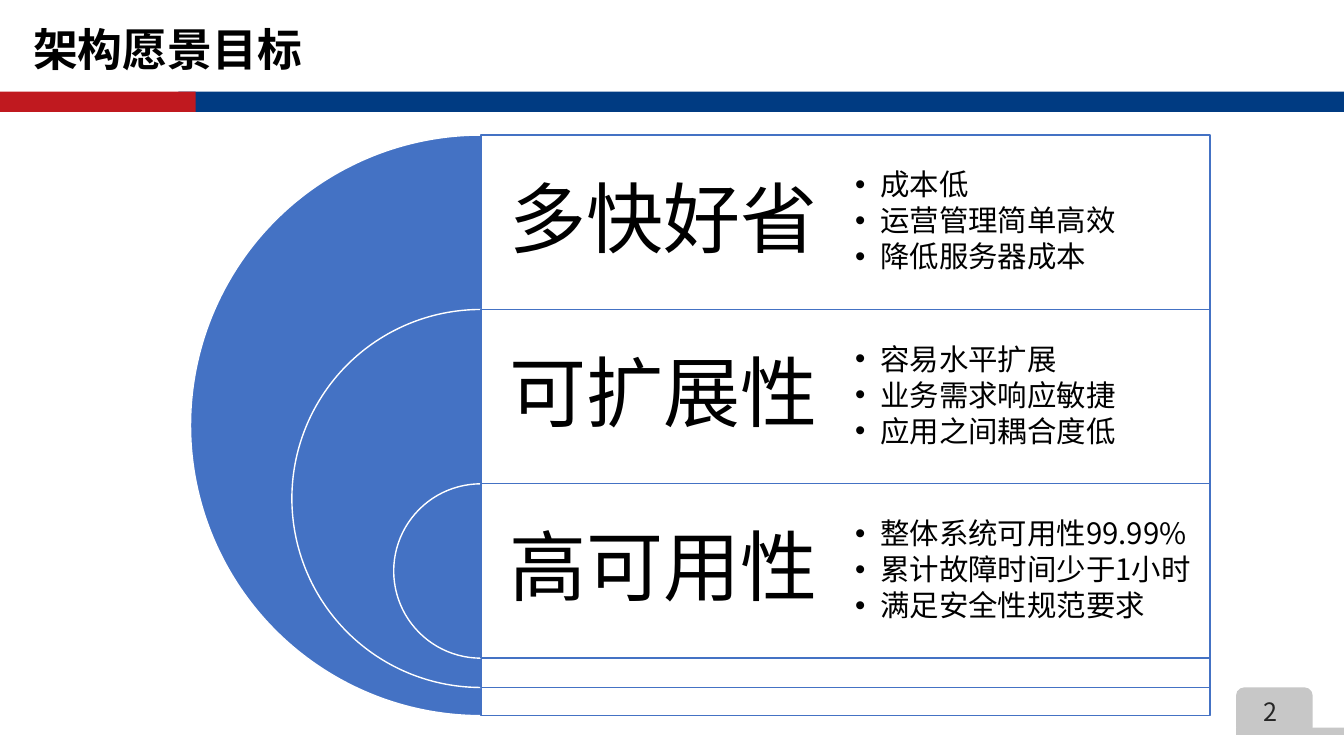
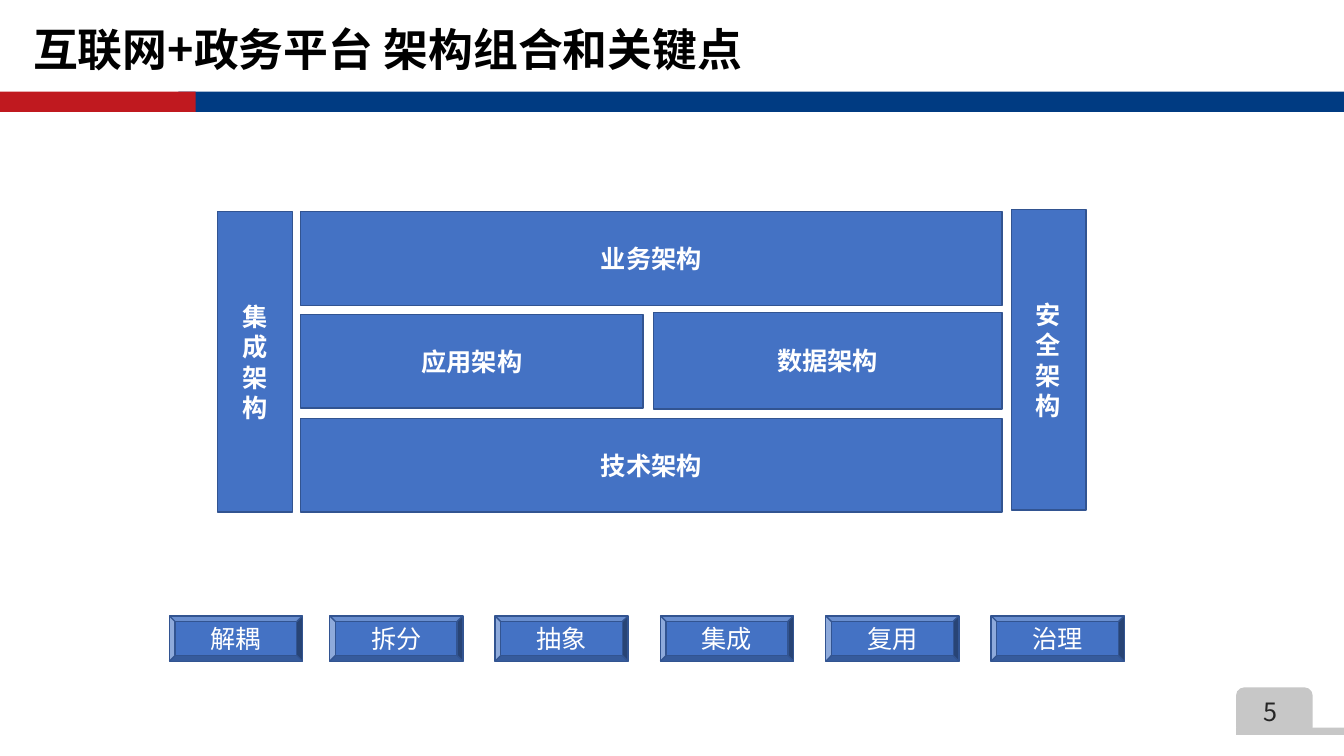
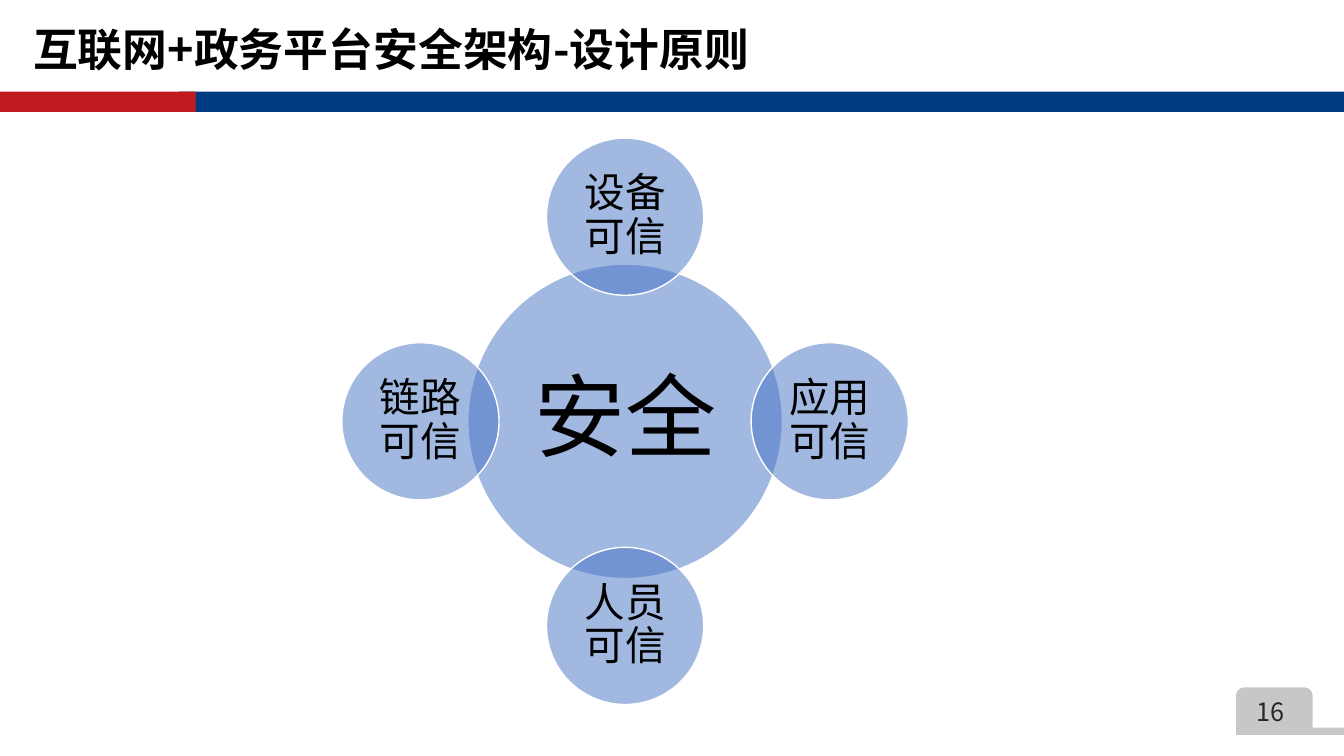
from pptx import Presentation as Deck
from pptx.dml.color import RGBColor as Rgb
from pptx.enum.shapes import MSO_SHAPE as Kind
from pptx.enum.text import MSO_ANCHOR as Anchor, PP_ALIGN as Align
from pptx.oxml.ns import qn
from pptx.util import Inches, Pt
from lxml.etree import SubElement as Sub

FONT = "Noto Sans CJK SC"
HUES = {
    "navy": "003B82",
    "red": "C0191F",
    "gray": "C7C7C7",
    "blue": "4472C4",
    "edge": "325491",
    "white": "FFFFFF",
    "black": "000000",
    "dark": "262626",
}


class Pen:
    def __init__(self):
        self.deck = Deck()
        self.deck.slide_width = Inches(13.33)
        self.deck.slide_height = Inches(7.5)
        self.slide = None

    def hue(self, name):
        return Rgb.from_string(HUES[name])

    def page(self, title, num):
        self.slide = self.deck.slides.add_slide(self.deck.slide_layouts[6])
        self.shape(Kind.RECTANGLE, (1.77, 0.91, 11.56, 0.2), "navy")
        self.shape(Kind.RECTANGLE, (0, 0.91, 1.94, 0.2), "red")
        self.shape(Kind.ROUNDED_RECTANGLE, (12.26, 6.82, 0.76, 0.47), "gray")
        self.shape(Kind.ROUNDED_RECTANGLE, (12.26, 7.22, 1.07, 0.07), "gray", adj=[0])
        self.label((12.26, 6.86, 0.73, 0.4), [f"{num} "], 18, "dark", anchor=Anchor.TOP)
        self.label((0.23, 0.17, 10.66, 0.64), [title], 32, bold=True,
                   align=Align.LEFT, anchor=Anchor.TOP)

    def shape(self, kind, box, fill, line=None, adj=(), alpha=None):
        item = self.slide.shapes.add_shape(kind, *map(Inches, box))
        item.shadow.inherit = False
        item.fill.solid()
        item.fill.fore_color.rgb = self.hue(fill)
        if alpha:
            tone = item._element.spPr.find(qn("a:solidFill"))[0]
            Sub(tone, qn("a:alpha"), val=str(alpha * 1000))
        if line:
            item.line.color.rgb = self.hue(line)
            item.line.width = Pt(1)
        else:
            item.line.fill.background()
        for i, value in enumerate(adj):
            item.adjustments[i] = value
        return item

    def label(self, box, lines, size, color="black", **style):
        item = self.slide.shapes.add_textbox(*map(Inches, box))
        self.text(item, lines, size, color, **style)

    def text(self, item, lines, size, color="black", bold=False, align=Align.CENTER,
             anchor=Anchor.MIDDLE, pad=None, lead=None, bullet=False):
        frame = item.text_frame
        frame.word_wrap = True
        frame.vertical_anchor = anchor
        if pad is not None:
            frame.margin_left = frame.margin_right = Inches(pad)
            frame.margin_top = frame.margin_bottom = Inches(pad)
        for i, line in enumerate(lines):
            para = frame.add_paragraph() if i else frame.paragraphs[0]
            para.alignment = align
            if lead:
                para.line_spacing = lead
            if bullet:
                self.dot(para)
            run = para.add_run()
            run.text = line
            run.font.size = Pt(size)
            run.font.bold = bold
            run.font.color.rgb = self.hue(color)
            run.font.name = FONT
            Sub(run._r.get_or_add_rPr(), qn("a:ea"), typeface=FONT)

    def dot(self, para):
        para.level = 1
        para.space_after = Pt(3)
        props = para._p.get_or_add_pPr()
        props.set("marL", str(Inches(0.25)))
        props.set("indent", str(-Inches(0.25)))
        Sub(props, qn("a:buFont"), typeface="Arial")
        Sub(props, qn("a:buChar"), char="•")

    def block(self, kind, box, lines, bold=False):
        item = self.shape(kind, box, "blue", "edge")
        self.text(item, lines, 18, "white", bold=bold)

    def disc(self, mid, top, size, word, points, pad):
        box = (mid - size / 2, top - size / 2, size, size)
        item = self.shape(Kind.OVAL, box, "blue", "white", alpha=50)
        self.text(item, [word], points, pad=pad, lead=0.9)


def goals(pen):
    pen.page("架构愿景目标", 2)
    left, half, row = 4.77, 3.62, 1.73
    rows = [
        (5.76, "多快好省", ["成本低", "运营管理简单高效", "降低服务器成本"]),
        (3.75, "可扩展性", ["容易水平扩展", "业务需求响应敏捷", "应用之间耦合度低"]),
        (1.73, "高可用性", ["整体系统可用性99.99%", "累计故障时间少于1小时", "满足安全性规范要求"]),
    ]
    for i, (size, name, notes) in enumerate(rows):
        top = 1.34 + i * row
        pen.shape(Kind.PIE, (left - size / 2, top, size, size), "blue", "white", adj=[54, 162])
        pen.shape(Kind.RECTANGLE, (left, top, 7.23, size), "white", "blue", alpha=90)
        pen.label((left, top, half, row), [name], 55, pad=0.23, lead=0.9)
        pen.label((left + half, top, half, row), notes, 21, align=Align.LEFT,
                  pad=0.09, lead=0.9, bullet=True)


def parts(pen):
    pen.page("互联网+政务平台 架构组合和关键点", 5)
    blocks = [
        ((2.98, 2.1, 6.96, 0.93), ["业务架构"]),
        ((2.98, 3.12, 3.4, 0.93), ["应用架构"]),
        ((6.48, 3.1, 3.46, 0.96), ["数据架构"]),
        ((2.98, 4.15, 6.96, 0.93), ["技术架构"]),
        ((2.16, 2.1, 0.74, 2.98), list("集成架构")),
        ((10.03, 2.08, 0.74, 2.98), list("安全架构")),
    ]
    for box, lines in blocks:
        pen.block(Kind.RECTANGLE, box, lines, bold=True)
    lefts = [1.68] + [3.27 + 1.64 * i for i in range(5)]
    for left, word in zip(lefts, ["解耦", "拆分", "抽象", "集成", "复用", "治理"]):
        pen.block(Kind.BEVEL, (left, 6.11, 1.32, 0.45), [word])


def trust(pen):
    pen.page("互联网+政务平台安全架构-设计原则", 16)
    mid, top, reach = 6.2, 4.18, 2.03
    pen.disc(mid, top, 3.12, "安全", 65, 0.09)
    ring = [(0, -1, "设备可信"), (1, 0, "应用可信"), (0, 1, "人员可信"), (-1, 0, "链路可信")]
    for dx, dy, name in ring:
        pen.disc(mid + dx * reach, top + dy * reach, 1.56, name, 29, 0.04)


def main():
    pen = Pen()
    for draw in (goals, parts, trust):
        draw(pen)
    pen.deck.save("out.pptx")


if __name__ == "__main__":
    main()
